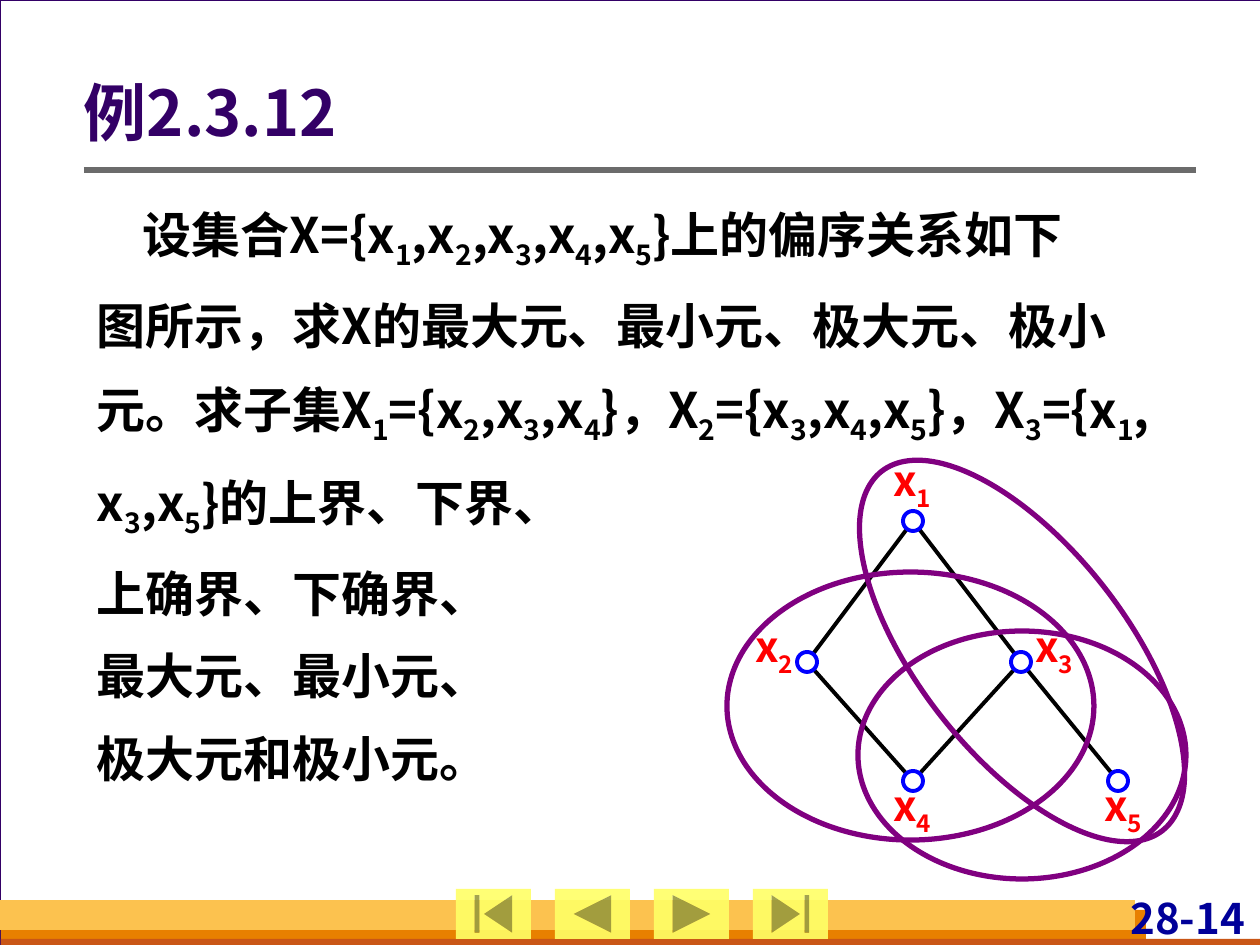
from lxml.etree import SubElement
from pptx import Presentation
from pptx.dml.color import RGBColor
from pptx.enum.shapes import MSO_CONNECTOR, MSO_SHAPE
from pptx.enum.text import MSO_ANCHOR, PP_ALIGN
from pptx.oxml.ns import qn
from pptx.util import Pt

PX = 914400 / 126
FONT = "Noto Sans CJK SC"
COLORS = {
    "white": "FFFFFF", "black": "000000", "indigo": "330066", "orange": "E88000",
    "rust": "C95616", "amber": "FCC24F", "navy": "000099", "gray": "6B6B6B",
    "yellow": "FFFF66", "red": "FF0000", "blue": "0000FF", "purple": "800080",
}

TITLE = "例2.3.12"
PAGE = "28-14"
BODY = [
    "设集合X={x_1,x_2,x_3,x_4,x_5}上的偏序关系如下",
    "图所示，求X的最大元、最小元、极大元、极小",
    "元。求子集X_1={x_2,x_3,x_4}，X_2={x_3,x_4,x_5}，X_3={x_1,",
    "x_3,x_5}的上界、下界、",
    "上确界、下确界、",
    "最大元、最小元、",
    "极大元和极小元。",
]
BARS = [
    ((1, 910, 1145, 35), "orange"),
    ((1, 939, 1260, 10), "rust"),
    ((0, 900, 1135, 30), "amber"),
]
BUTTONS = [
    MSO_SHAPE.ACTION_BUTTON_BEGINNING,
    MSO_SHAPE.ACTION_BUTTON_BACK_OR_PREVIOUS,
    MSO_SHAPE.ACTION_BUTTON_FORWARD_OR_NEXT,
    MSO_SHAPE.ACTION_BUTTON_END,
]
NODES = {
    "x_1": (913, 521), "x_2": (807, 662), "x_3": (1021, 662),
    "x_4": (913, 781), "x_5": (1118, 781),
}
EDGES = [("x_1", "x_2"), ("x_1", "x_3"), ("x_2", "x_4"), ("x_3", "x_4"), ("x_3", "x_5")]
LABELS = {
    "x_1": (890, 455), "x_2": (752, 621), "x_3": (1032, 621),
    "x_4": (890, 780), "x_5": (1101, 780),
}
SUBSETS = [
    ((727, 572, 367, 268), 0),
    ((858, 631, 328, 248), 0),
    ((794, 547, 456, 208), 52),
]

prs = Presentation()
prs.slide_width, prs.slide_height = round(1260 * PX), round(945 * PX)
s = prs.slides.add_slide(prs.slide_layouts[6])


def emu(*lengths):
    return [round(v * PX) for v in lengths]


def rgb(name):
    return RGBColor.from_string(COLORS[name])


def add_shape(kind, box, fill=None, line=None, width=1):
    sp = s.shapes.add_shape(kind, *emu(*box))
    sp.shadow.inherit = False
    if fill:
        sp.fill.solid()
        sp.fill.fore_color.rgb = rgb(fill)
    else:
        sp.fill.background()
    if line:
        sp.line.color.rgb = rgb(line)
        sp.line.width = Pt(width)
    else:
        sp.line.fill.background()
    return sp


def add_line(start, end, color, width):
    cxn = s.shapes.add_connector(MSO_CONNECTOR.STRAIGHT, *emu(*start, *end))
    cxn.line.color.rgb = rgb(color)
    cxn.line.width = Pt(width)
    SubElement(cxn._element.spPr, qn("a:effectLst"))


def add_text(box, lines, size, color, insets=(0, 0, 0, 0), align=PP_ALIGN.LEFT,
             anchor=MSO_ANCHOR.TOP, spacing=1.0, before=0, indent=0):
    tf = s.shapes.add_textbox(*emu(*box)).text_frame
    tf.word_wrap = True
    tf.vertical_anchor = anchor
    tf.margin_left, tf.margin_top, tf.margin_right, tf.margin_bottom = emu(*insets)
    for i, line in enumerate(lines):
        p = tf.add_paragraph() if i else tf.paragraphs[0]
        p.alignment = align
        p.line_spacing = spacing
        if i:
            p.space_before = Pt(before)
        elif indent:
            p._p.get_or_add_pPr().set("indent", str(round(indent * PX)))
        p.font.name, p.font.size, p.font.bold = FONT, Pt(size), True
        p.font.color.rgb = rgb(color)
        SubElement(p._p.pPr.find(qn("a:defRPr")), qn("a:ea"), typeface=FONT)
        first, *rest = line.split("_")
        p.add_run().text = first
        for part in rest:
            r = p.add_run()
            r.text = part[0]
            r.font._element.set("baseline", "-25000")
            if part[1:]:
                p.add_run().text = part[1:]


add_shape(MSO_SHAPE.RECTANGLE, (0, 0, 1261, 945), "white", "indigo", 0.75)
for box, color in BARS:
    add_shape(MSO_SHAPE.RECTANGLE, box, color)
add_text((1067, 892, 183, 58), [PAGE], 24, "navy", (5, 0, 5, 0), PP_ALIGN.RIGHT)
add_line((84, 170), (1196, 170), "gray", 3)
for i, kind in enumerate(BUTTONS):
    sp = add_shape(kind, (456 + 99 * i, 889, 75, 50), "yellow")
    clr = sp._element.spPr.find(qn("a:solidFill"))[0]
    SubElement(clr, qn("a:alpha"), val="90000")

add_text((84, 185, 1111, 689), BODY, 28, "black", (13, 6, 13, 6),
         spacing=1.2, before=7, indent=46)
add_text((84, 76, 1111, 81), [TITLE], 36, "indigo", (0, 6, 13, 6),
         anchor=MSO_ANCHOR.MIDDLE, spacing=0.9)

for label, (x, y) in LABELS.items():
    add_text((x, y, 44, 50), [label], 24, "red", align=PP_ALIGN.CENTER)
for a, b in EDGES:
    add_line(NODES[a], NODES[b], "black", 2.25)
for x, y in NODES.values():
    add_shape(MSO_SHAPE.OVAL, (x - 10, y - 10, 20, 20), "white", "blue", 2.25)
for box, angle in SUBSETS:
    add_shape(MSO_SHAPE.OVAL, box, line="purple", width=3).rotation = angle

prs.save("out.pptx")
